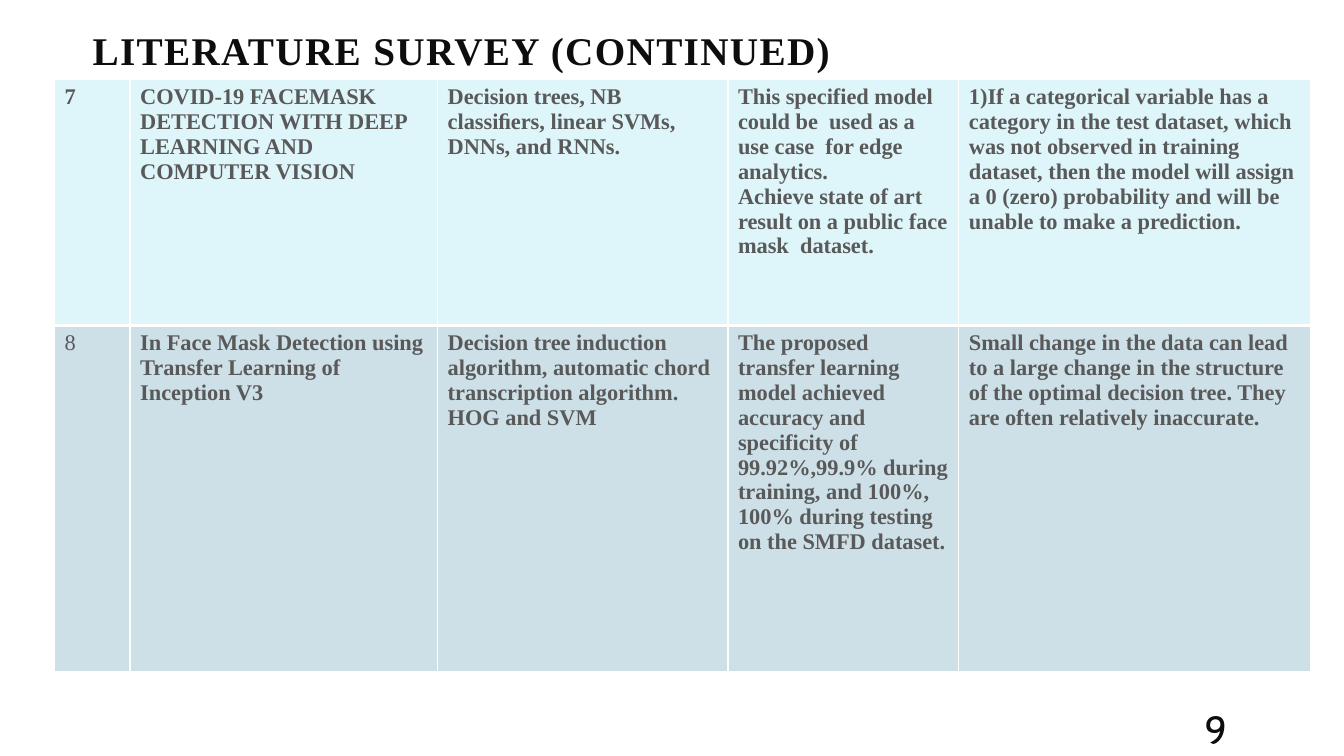
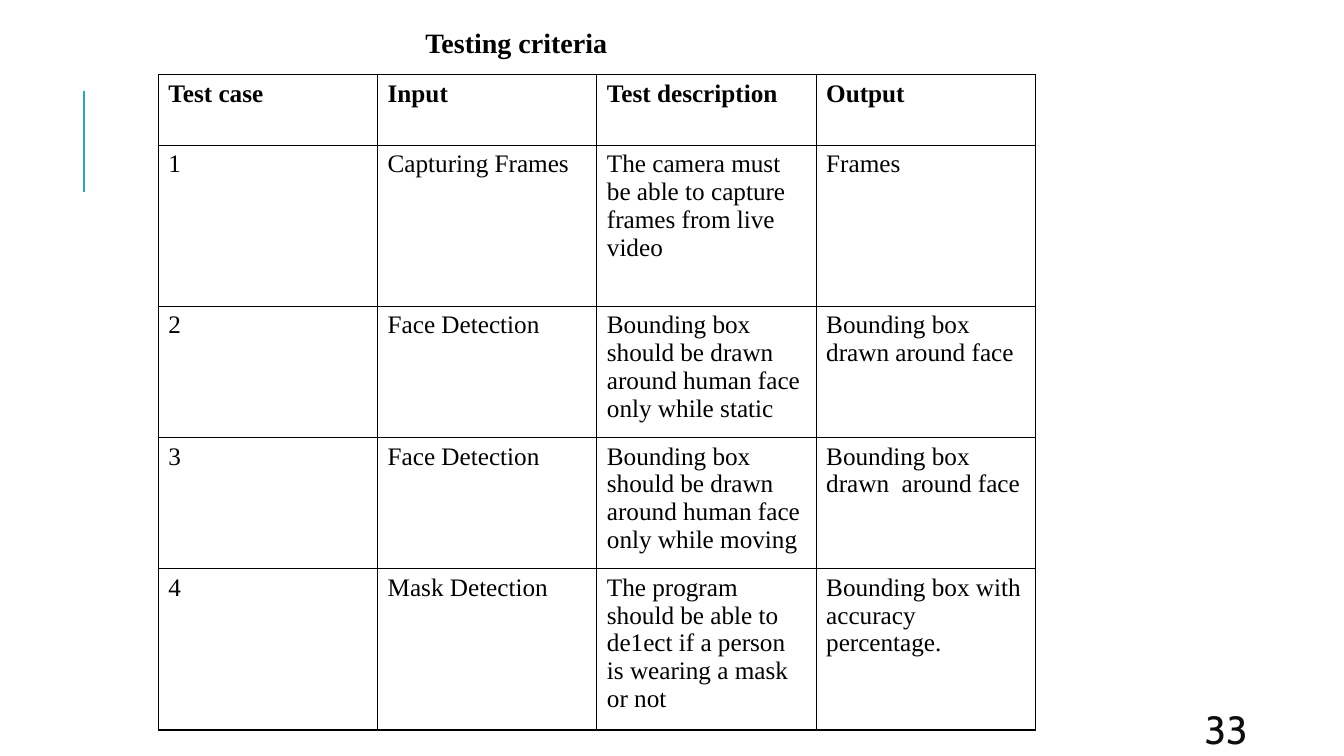
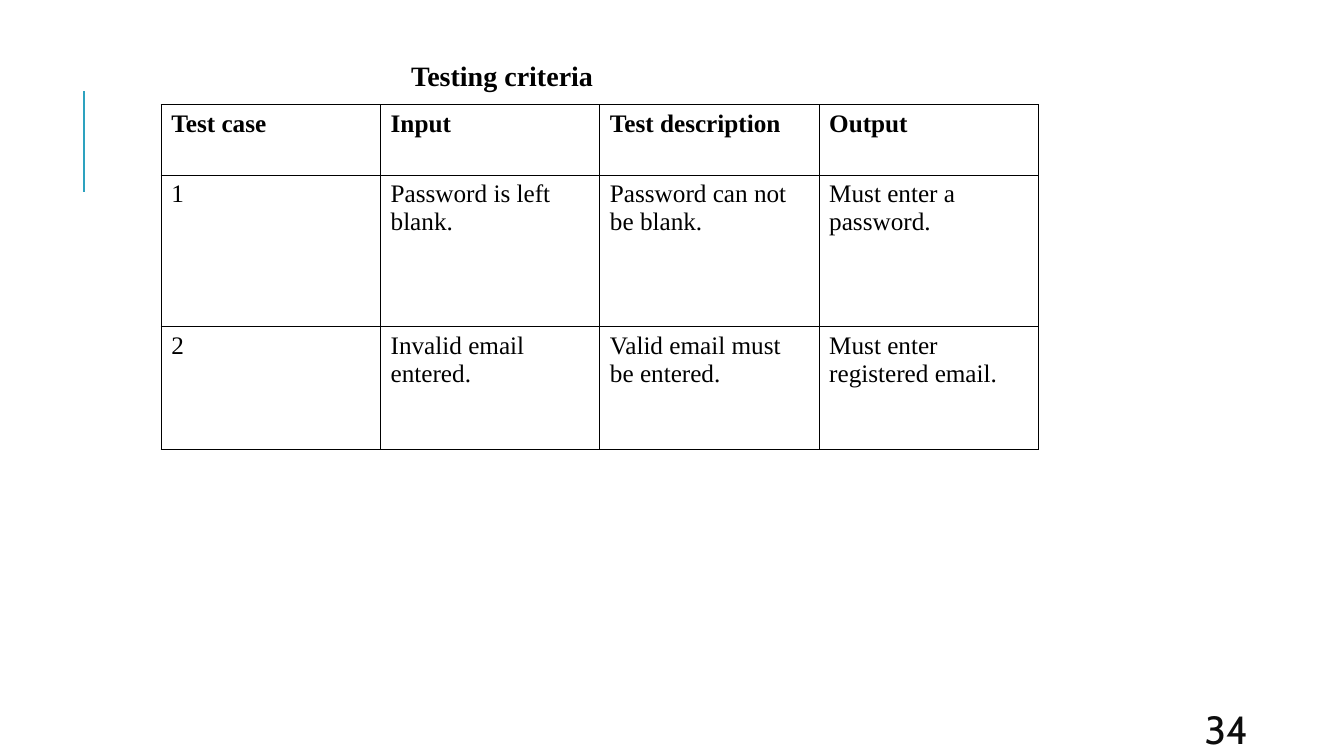
from lxml.etree import SubElement as Sub
from pptx import Presentation
from pptx.dml.color import RGBColor
from pptx.enum.text import MSO_ANCHOR as Anchor
from pptx.oxml.ns import qn
from pptx.util import Inches, Pt

SERIF, SANS = "Times New Roman", "Cabin"
BLACK, INK, GREY, WHITE, BLUE = "000000", "0D0D0D", "595959", "FFFFFF", "2DA2BF"
BANDS = ["DEF5FA", "CDE0E8"]

PAPERS = [
    ["7",
     "COVID-19 FACEMASK DETECTION WITH DEEP LEARNING AND COMPUTER VISION",
     "Decision trees, NB classiﬁers, linear SVMs, DNNs, and RNNs.",
     "This specified model could be  used as a use case  for edge analytics.\n"
     "Achieve state of art result on a public face mask  dataset.",
     "1)If a categorical variable has a category in the test dataset, which was not "
     "observed in training dataset, then the model will assign a 0 (zero) probability "
     "and will be unable to make a prediction."],
    ["8",
     "In Face Mask Detection using Transfer Learning of Inception V3",
     "Decision tree induction algorithm, automatic chord transcription algorithm.\n"
     "HOG and SVM",
     "The proposed transfer learning model achieved accuracy and specificity of "
     "99.92%,99.9% during training, and 100%, 100% during testing on the SMFD dataset.",
     "Small change in the data can lead to a large change in the structure of the "
     "optimal decision tree. They are often relatively inaccurate."],
]
HEADS = ["Test case", "Input", "Test description", "Output"]
TESTS = [
    {"page": "33", "title": (4.02, 0.2), "grid": (1.57, 0.74),
     "highs": [0.7, 1.6, 1.3, 1.3, 1.6],
     "rows": [
         ["1", "Capturing Frames",
          "The camera must be able to capture frames from live video", "Frames"],
         ["2", "Face Detection",
          "Bounding box should be drawn around human face only while static",
          "Bounding box drawn around face"],
         ["3", "Face Detection",
          "Bounding box should be drawn around human face only while moving",
          "Bounding box\ndrawn  around face"],
         ["4", "Mask Detection",
          "The program should be able to de1ect if a person is wearing a mask or not",
          "Bounding box with accuracy percentage."]]},
    {"page": "34", "title": (3.88, 0.53), "grid": (1.6, 1.04),
     "highs": [0.7, 1.5, 1.22],
     "rows": [
         ["1", "Password is left blank.", "Password can not be blank.",
          "Must enter a password."],
         ["2", "Invalid email entered.", "Valid email must be entered.",
          "Must enter registered email."]]},
]


def rgb(code):
    """Turn a hex string into a colour."""
    return RGBColor.from_string(code)


def write(frame, text, size, color, bold=False, face=SERIF):
    """Fill a text frame, one paragraph a line, and return the paragraphs."""
    frame.word_wrap = True
    for i, line in enumerate(text.split("\n")):
        para = frame.add_paragraph() if i else frame.paragraphs[0]
        run = para.add_run()
        run.text = line
        font = run.font
        font.name, font.size, font.bold = face, Pt(size), bold
        font.color.rgb = rgb(color)
    return frame.paragraphs


def label(slide, box, text, size, color, anchor=Anchor.MIDDLE, **style):
    """Add a text box and return its first paragraph."""
    frame = slide.shapes.add_textbox(*map(Inches, box)).text_frame
    frame.vertical_anchor = anchor
    return write(frame, text, size, color, **style)[0]


def edge(cell, side, color, width):
    """Draw one border of a cell."""
    line = Sub(cell._tc.get_or_add_tcPr(), qn("a:ln" + side), w=str(Pt(width)))
    fill = Sub(line, qn("a:solidFill"))
    Sub(fill, qn("a:srgbClr"), val=color)


def grid(slide, spot, wides, highs, rows, size, color, line, bold, bands=None, rule=1):
    """Add a table; bold(row, col) picks bold cells, rule is the inner row line."""
    area = map(Inches, (*spot, sum(wides), sum(highs)))
    table = slide.shapes.add_table(len(rows), len(wides), *area).table
    table.first_row = table.horz_banding = False
    for col, wide in zip(table.columns, wides):
        col.width = Inches(wide)
    for row, high in zip(table.rows, highs):
        row.height = Inches(high)
    for r, row in enumerate(rows):
        for c, text in enumerate(row):
            cell = table.cell(r, c)
            write(cell.text_frame, text, size, color, bold(r, c))
            above = rule if r else 1
            below = rule if r < len(rows) - 1 else 1
            for side, width in zip("LRTB", (1, 1, above, below)):
                edge(cell, side, line, width)
            if bands:
                cell.fill.solid()
                cell.fill.fore_color.rgb = rgb(bands[r % len(bands)])
            else:
                cell.fill.background()


def accent(slide):
    """Draw the blue rule at the left."""
    ends = map(Inches, (0.83, 1.9, 0.83, 0.9))
    rule = slide.shapes.add_connector(1, *ends)
    rule.line.color.rgb = rgb(BLUE)
    rule.line.width = Pt(1.5)
    Sub(rule._element.spPr, qn("a:effectLst"))


def start(deck, page):
    """Add a blank slide with the shared rule and its page number."""
    slide = deck.slides.add_slide(deck.slide_layouts[6])
    accent(slide)
    label(slide, (11.85, 7.08, 1.06, 0.3), page, 28, INK, face=SANS)
    return slide


def survey(deck):
    """Build the literature slide."""
    slide = start(deck, "9")
    para = label(slide, (0.82, 0, 10.63, 1.08), "LITERATURE SURVEY (CONTINUED)",
                 28, INK, bold=True)
    para.line_spacing = 0.8
    para.runs[0].font._element.set("spc", "100")
    grid(slide, (0.54, 0.79), [0.75, 3.05, 2.88, 2.29, 3.49], [2.44, 3.43], PAPERS,
         16, GREY, WHITE, lambda r, c: r == 0 or c > 0, BANDS, 3)


def testing(deck, test):
    """Build one slide of test cases."""
    slide = start(deck, test["page"])
    para = label(slide, (*test["title"], 5.56, 0.45), "Testing criteria", 20, BLACK,
                 Anchor.TOP, bold=True)
    para._p.get_or_add_pPr().set("indent", str(Inches(0.1)))
    count = len(HEADS)
    grid(slide, test["grid"], [8.7 / count] * count, test["highs"],
         [HEADS] + test["rows"], 18, BLACK, BLACK, lambda r, c: r == 0)


def main():
    """Build and save the deck."""
    deck = Presentation()
    deck.slide_width, deck.slide_height = Inches(13.33), Inches(7.5)
    survey(deck)
    for test in TESTS:
        testing(deck, test)
    deck.save("out.pptx")


if __name__ == "__main__":
    main()
